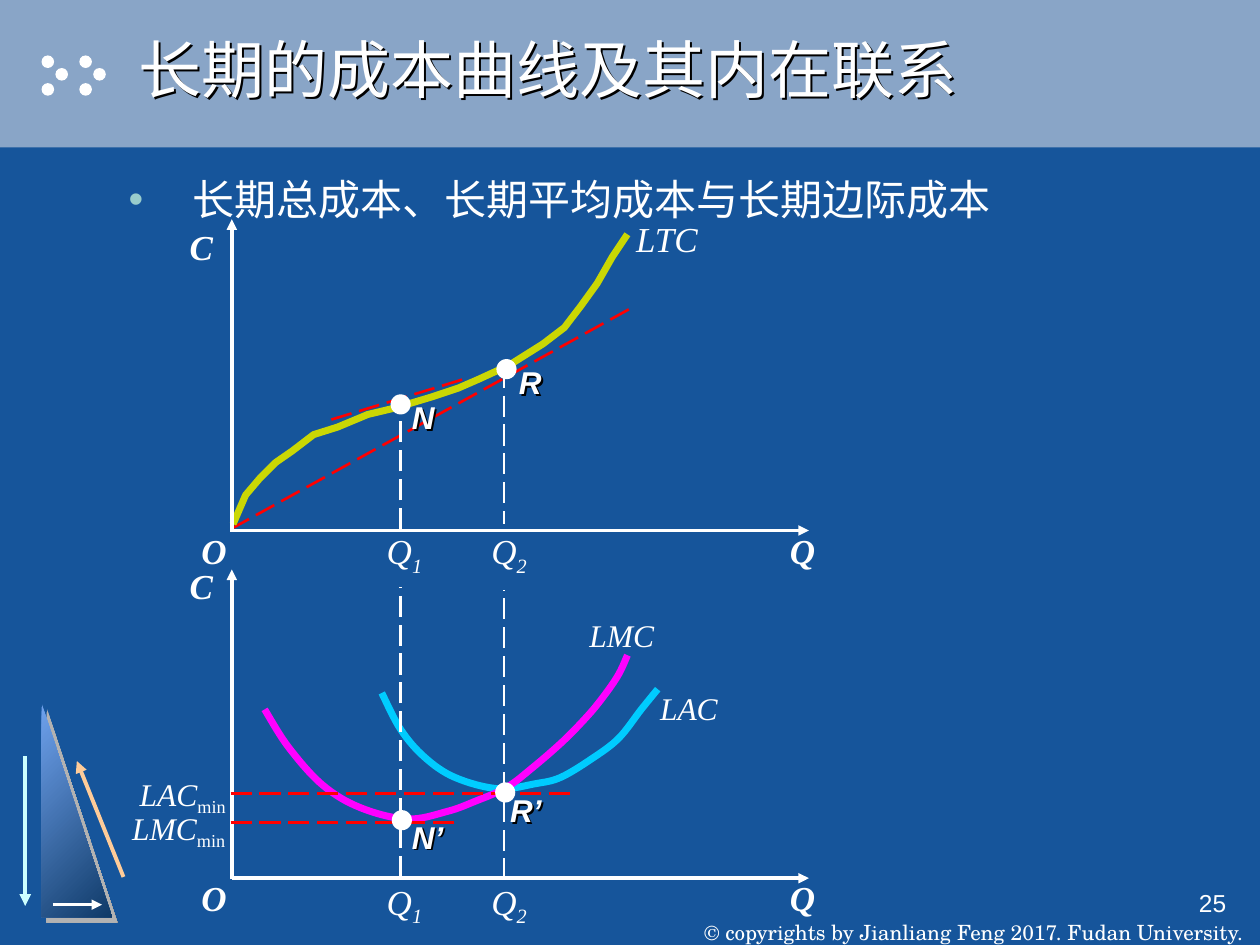
from dataclasses import dataclass
from typing import Optional

import pptx
import pptx.dml.color
import pptx.enum.dml
import pptx.enum.shapes
import pptx.enum.text
import pptx.oxml.ns
import pptx.util
from lxml import etree

Inches, Pt = pptx.util.Inches, pptx.util.Pt
qn = pptx.oxml.ns.qn
ALIGN = pptx.enum.text.PP_ALIGN
ANCHOR = pptx.enum.text.MSO_ANCHOR
FIT = pptx.enum.text.MSO_AUTO_SIZE
SHAPE = pptx.enum.shapes.MSO_SHAPE
WHITE, RED = "FFFFFF", "FF0000"
SERIF, SANS = "Times New Roman", "Arial"


@dataclass
class Label:
    text: str
    left: float
    top: float
    width: float
    height: float = 0.43
    size: float = 20
    font: str = SERIF
    bold: bool = False
    italic: bool = True
    align: Optional[int] = ALIGN.LEFT
    spacing: Optional[float] = None
    wrap: bool = False
    subscript: str = ""
    subscript_italic: bool = True


@dataclass
class Curve:
    color: str
    points: list[tuple[float, float]]
    smooth: bool = True


def rgb(color: str) -> pptx.dml.color.RGBColor:
    return pptx.dml.color.RGBColor.from_string(color)


def add_shadow(shape, color: str, distance: float) -> None:
    properties = shape._element.spPr
    for effects in properties.findall(qn("a:effectLst")):
        properties.remove(effects)
    effects = etree.SubElement(properties, qn("a:effectLst"))
    outer = etree.SubElement(effects, qn("a:outerShdw"), dist=str(Pt(distance)), dir="2700000")
    etree.SubElement(outer, qn("a:srgbClr"), val=color)


def add_run(paragraph, text: str, size: float, font: str, bold=False, italic=False):
    run = paragraph.add_run()
    run.text = text
    run.font.size, run.font.name = Pt(size), font
    run.font.bold, run.font.italic = bold, italic
    run.font.color.rgb = rgb(WHITE)
    return run


def add_label(slide, label: Label):
    box = slide.shapes.add_textbox(*map(Inches, (label.left, label.top, label.width, label.height)))
    box.text_frame.word_wrap = label.wrap
    if not label.wrap:
        box.text_frame.auto_size = FIT.SHAPE_TO_FIT_TEXT
    paragraph = box.text_frame.paragraphs[0]
    paragraph.alignment = label.align
    if label.spacing:
        paragraph.line_spacing = label.spacing
    add_run(paragraph, label.text, label.size, label.font, label.bold, label.italic)
    if label.subscript:
        run = add_run(paragraph, label.subscript, label.size, label.font, italic=label.subscript_italic)
        run._r.get_or_add_rPr().set("baseline", "-25000")
    return box


def add_line(slide, start, end, color: str, width: float, dashed=False, arrow=False) -> None:
    connector = slide.shapes.add_connector(
        pptx.enum.shapes.MSO_CONNECTOR.STRAIGHT, *map(Inches, (*start, *end)))
    connector.line.color.rgb = rgb(color)
    connector.line.width = Pt(width)
    if dashed:
        connector.line.dash_style = pptx.enum.dml.MSO_LINE.LONG_DASH
    if arrow:
        etree.SubElement(connector.line._get_or_add_ln(), qn("a:tailEnd"), type="triangle")
    etree.SubElement(connector._element.spPr, qn("a:effectLst"))


def add_plain_shape(slide, kind, left: float, top: float, width: float, height: float, color: str):
    shape = slide.shapes.add_shape(kind, *map(Inches, (left, top, width, height)))
    shape.shadow.inherit = False
    shape.fill.solid()
    shape.fill.fore_color.rgb = rgb(color)
    shape.line.fill.background()
    return shape


def with_handles(points):
    """Points with two Bezier handles before each one after the first."""
    padded = [points[0], *points, points[-1]]
    result = [points[0]]
    for a, b, c, d in zip(padded, padded[1:], padded[2:], padded[3:]):
        result.append(tuple(q + (r - p) / 6 for p, q, r in zip(a, b, c)))
        result.append(tuple(r - (s - q) / 6 for q, r, s in zip(b, c, d)))
        result.append(c)
    return result


def bend(shape) -> None:
    """Join each three line segments of the outline into one Bezier segment."""
    outline = shape._element.find(".//" + qn("a:path"))
    segments = outline.findall(qn("a:lnTo"))
    for index in range(0, len(segments), 3):
        bezier = etree.SubElement(outline, qn("a:cubicBezTo"))
        for segment in segments[index:index + 3]:
            bezier.append(segment[0])
            outline.remove(segment)


def add_curve(slide, curve: Curve) -> None:
    points = with_handles(curve.points) if curve.smooth else curve.points
    points = [(Inches(x), Inches(y)) for x, y in points]
    builder = slide.shapes.build_freeform(*points[0])
    builder.add_line_segments(points[1:], close=False)
    shape = builder.convert_to_shape()
    if curve.smooth:
        bend(shape)
    shape.shadow.inherit = False
    shape.fill.background()
    shape.line.color.rgb = rgb(curve.color)
    shape.line.width = Pt(4)


def add_axes(slide, axis_top: float, base: float, cost_top: float) -> None:
    add_line(slide, (1.84, base + 0.01), (1.84, axis_top), WHITE, 2, arrow=True)
    add_line(slide, (1.84, base), (6.42, base), WHITE, 2, arrow=True)
    for text, left in (("Q", 6.17), ("O", 1.5)):
        add_label(slide, Label(text, left, base - 0.06, 0.4, bold=True))
    add_label(slide, Label("C", 1.36, cost_top, 0.43, bold=True, align=ALIGN.RIGHT, wrap=True))


def add_point(slide, name: str, center, label_at) -> None:
    add_plain_shape(slide, SHAPE.OVAL, center[0] - 0.08, center[1] - 0.08, 0.16, 0.16, WHITE)
    box = add_label(slide, Label(name, *label_at, 0.38 + 0.07 * (len(name) - 1), 0.4, 18, SANS, bold=True))
    add_shadow(box, "000000", 1.5)


def add_decoration(slide) -> None:
    band = add_plain_shape(slide, SHAPE.RECTANGLE, 0, 0, 10, 1.17, "89A5C7")
    slide.shapes._spTree.remove(band._element)
    slide.shapes._spTree.insert(2, band._element)  # behind the title
    for left in (0.33, 0.63):
        for shift, top in ((0, 0.44), (0.11, 0.54), (0, 0.66)):
            add_plain_shape(slide, SHAPE.OVAL, left + shift, top, 0.1, 0.1, WHITE)
    triangle = add_plain_shape(slide, SHAPE.RIGHT_TRIANGLE, 0.33, 5.58, 0.56, 1.7, WHITE)
    triangle.fill.gradient()
    triangle.fill.gradient_angle = 315
    for stop, color in zip(triangle.fill.gradient_stops, ("6FA2ED", "0F3A68")):
        stop.color.rgb = rgb(color)
    add_shadow(triangle, "B2B2B2", 4.2)
    add_line(slide, (0.2, 6), (0.2, 7.19), "CCFFFF", 2.25, arrow=True)
    add_line(slide, (0.98, 6.96), (0.61, 6.04), "FFCC99", 2.25, arrow=True)
    add_line(slide, (0.42, 7.18), (0.81, 7.18), WHITE, 1.5, arrow=True)


def fill_placeholder(shape, at, text: str, size: float, font: str, anchor):
    shape.left, shape.top, shape.width, shape.height = map(Inches, at)
    frame = shape.text_frame
    frame.auto_size = FIT.NONE
    frame.vertical_anchor = anchor
    paragraph = frame.paragraphs[0]
    paragraph.alignment = ALIGN.LEFT
    paragraph.space_before = Pt(0)
    add_run(paragraph, text, size, font)
    return paragraph


def main() -> None:
    presentation = pptx.Presentation()
    presentation.slide_width, presentation.slide_height = Inches(10), Inches(7.5)
    slide = presentation.slides.add_slide(presentation.slide_layouts[1])
    slide.background.fill.solid()
    slide.background.fill.fore_color.rgb = rgb("16559B")
    add_decoration(slide)

    # Title, bullet and footer
    title, body = slide.placeholders
    fill_placeholder(title, (1, 0, 9, 1.08), "长期的成本曲线及其内在联系", 36, SANS, ANCHOR.MIDDLE)
    add_shadow(title, "000000", 1.5)
    bullet = fill_placeholder(body, (0.92, 1.33, 8.17, 5), "长期总成本、长期平均成本与长期边际成本",
                              24, SERIF, ANCHOR.TOP)
    properties = bullet._p.get_or_add_pPr()
    properties.set("marL", str(Inches(0.51)))
    properties.set("indent", str(Inches(-0.51)))
    etree.SubElement(etree.SubElement(properties, qn("a:buClr")), qn("a:srgbClr"), val="99CCCC")
    etree.SubElement(properties, qn("a:buChar"), char="•")
    footer = add_label(slide, Label("© copyrights by Jianliang Feng 2017. Fudan University.", 5.44, 7, 4.58,
                                    0.5, 12, "TeX Gyre Schola", italic=False, align=ALIGN.CENTER))
    footer.text_frame.auto_size = FIT.NONE
    footer.text_frame.vertical_anchor = ANCHOR.BOTTOM
    footer.text_frame.margin_top = footer.text_frame.margin_bottom = 0
    add_label(slide, Label("25", 7.75, 7, 2.08, 0.5, 14, SANS, italic=False, align=ALIGN.RIGHT, wrap=True))

    # Tangents, total cost curve and axes
    for start, end in (((2.63, 3.33), (3.71, 3)), ((1.83, 4.2), (5, 2.45))):
        add_line(slide, start, end, RED, 1.5, dashed=True)
    add_curve(slide, Curve("CAD704", [
        (1.85, 4.16), (1.95, 3.93), (2.06, 3.8), (2.19, 3.67), (2.32, 3.58), (2.49, 3.45), (2.68, 3.39),
        (2.92, 3.29), (3.13, 3.24), (3.43, 3.15), (3.64, 3.08), (3.8, 3.01), (4.04, 2.9), (4.31, 2.73),
        (4.48, 2.6), (4.61, 2.43), (4.74, 2.25), (4.86, 2.04), (4.98, 1.86)], smooth=False))
    add_label(slide, Label("LTC", 4.95, 1.68, 0.69))
    add_axes(slide, 1.74, 4.21, 1.74)
    add_axes(slide, 4.52, 6.97, 4.43)

    # Average and marginal cost curves
    add_curve(slide, Curve("00CCFF", [
        (3.03, 5.5), (3.18, 5.79), (3.37, 6.01), (3.61, 6.17), (3.95, 6.26), (4.25, 6.22), (4.45, 6.17),
        (4.7, 6.02), (4.91, 5.86), (5.09, 5.63), (5.22, 5.47)]))
    add_curve(slide, Curve("FF00FF", [
        (2.1, 5.63), (2.29, 5.93), (2.56, 6.23), (2.86, 6.41), (3.23, 6.5), (3.55, 6.44), (3.77, 6.36),
        (4.02, 6.25), (4.23, 6.09), (4.45, 5.9), (4.61, 5.74), (4.75, 5.58), (4.9, 5.37), (4.98, 5.2)]))
    add_label(slide, Label("LAC", 5.14, 5.36, 0.66, 0.46, 18, spacing=1.2))
    add_label(slide, Label("LMC", 4.58, 4.78, 0.73, 0.46, 18, spacing=1.2))

    # Minimum levels
    for text, left, top, width, level, end in (("LMC", 0.95, 6.3, 0.96, 6.53, 3.66),
                                               ("LAC", 1.01, 6.03, 0.9, 6.3, 4.53)):
        add_line(slide, (1.83, level), (end, level), RED, 1.5, dashed=True)
        add_label(slide, Label(text, left, top, width, 0.51, 18, spacing=1.2,
                               subscript="min", subscript_italic=False))

    # Quantity drop lines in both diagrams
    for number, x, left, spans in (("1", 3.18, 2.92, ((4.2, 3.21), (6.96, 4.66))),
                                   ("2", 4, 3.75, ((2.91, 4.16), (6.98, 4.68)))):
        for (start, end), top in zip(spans, (4.08, 6.86)):
            add_line(slide, (x, start), (x, end), WHITE, 1.5, dashed=True)
            add_label(slide, Label("Q", left, top, 0.58, 0.56, align=ALIGN.CENTER, spacing=1.2,
                                   wrap=True, subscript=number))

    # Marked points
    for name, center, label_at in (("N", (3.18, 3.21), (3.17, 3.11)), ("R", (4.02, 2.93), (4.02, 2.83)),
                                   ("N’", (3.19, 6.51), (3.17, 6.44)), ("R’", (4.01, 6.29), (3.95, 6.23))):
        add_point(slide, name, center, label_at)

    presentation.save("out.pptx")


if __name__ == "__main__":
    main()
